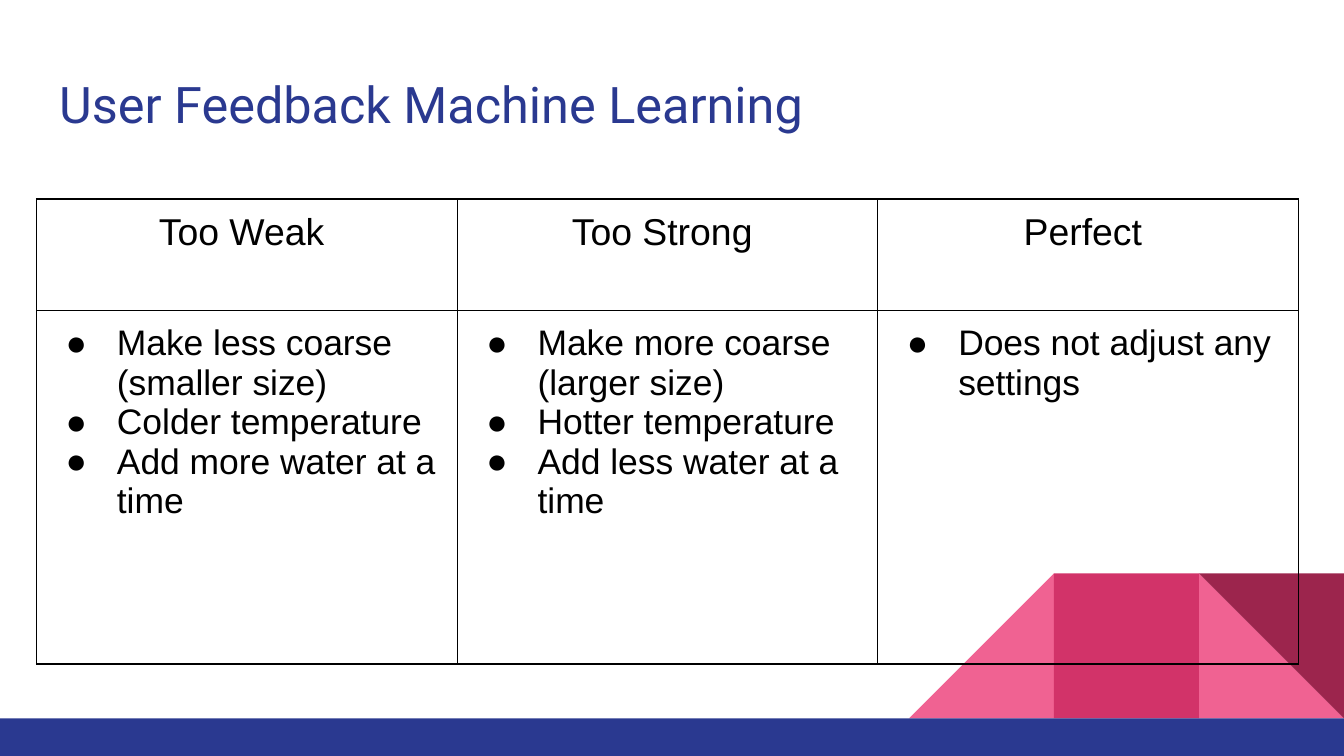
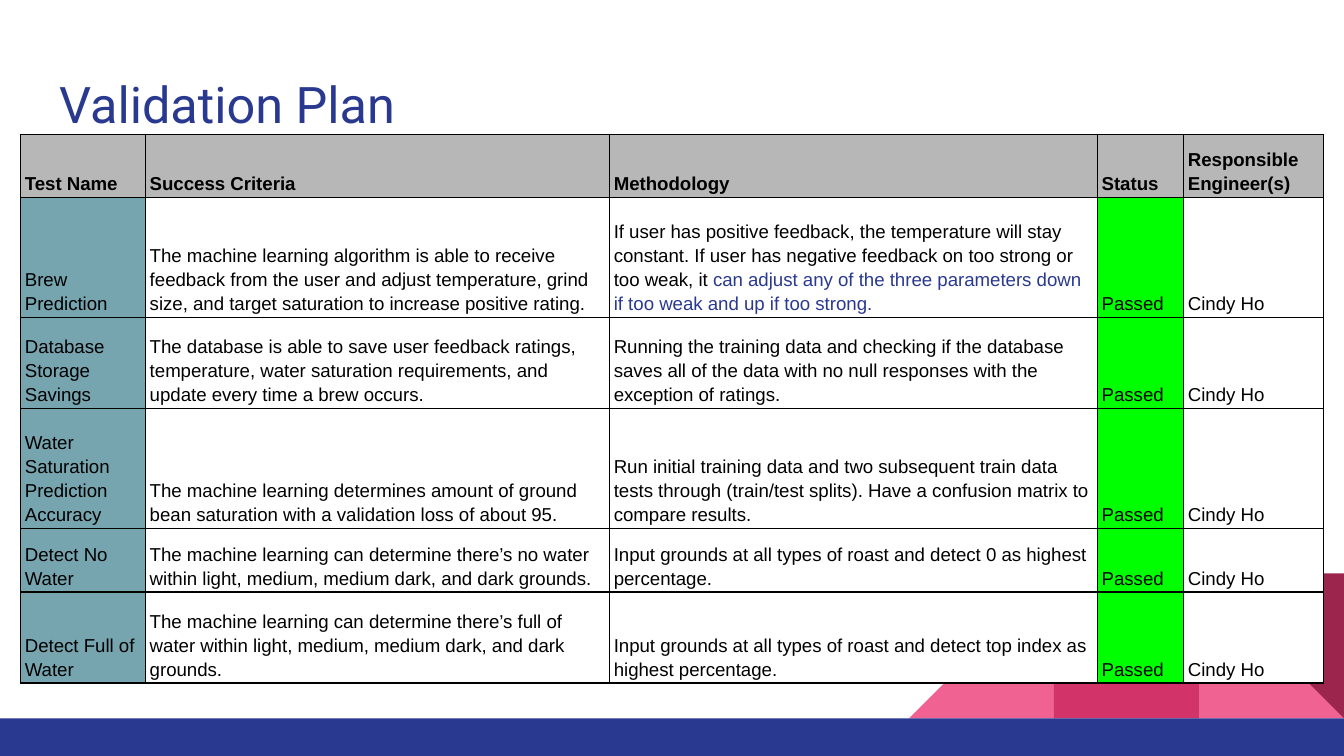
from pptx import Presentation
from pptx.dml.color import RGBColor
from pptx.enum.shapes import MSO_SHAPE as SHAPE
from pptx.enum.text import MSO_ANCHOR as ANCHOR, PP_ALIGN as ALIGN
from pptx.oxml import parse_xml
from pptx.oxml.ns import nsdecls
from pptx.util import Cm, Pt

NAVY, BLACK, WHITE = "2A3990", "000000", "FFFFFF"
PINK, ROSE, WINE = "F06292", "D23369", "9C254D"
GRAY, TEAL, GREEN = "B7B7B7", "76A5AF", "00FF00"
WIDTH, HEIGHT = 25.4, 14.29
BAND_TOP, TILE = 13.58, 2.74


def rgb(value):
    return RGBColor.from_string(value)


class Deck:
    def __init__(self):
        self.prs = Presentation()
        self.prs.slide_width, self.prs.slide_height = Cm(WIDTH), Cm(HEIGHT)
        self.s = None

    def slide(self, title):
        self.s = self.prs.slides.add_slide(self.prs.slide_layouts[6])
        tile_top = BAND_TOP - TILE
        tiles = [
            (1, SHAPE.RIGHT_TRIANGLE, PINK, {}),
            (3, SHAPE.RIGHT_TRIANGLE, PINK, {"flip": True}),
            (2, SHAPE.RECTANGLE, ROSE, {}),
            (1, SHAPE.RIGHT_TRIANGLE, WINE, {"rotation": 180}),
        ]
        for steps, kind, color, turn in tiles:
            self.shape(kind, WIDTH - steps * TILE, tile_top, TILE, TILE, color, **turn)
        self.shape(SHAPE.RECTANGLE, 0, BAND_TOP, WIDTH, HEIGHT - BAND_TOP, NAVY)
        self.title(title)

    def shape(self, kind, x, y, w, h, color, flip=False, rotation=0):
        sp = self.s.shapes.add_shape(kind, Cm(x), Cm(y), Cm(w), Cm(h))
        sp.shadow.inherit = False
        sp.fill.solid()
        sp.fill.fore_color.rgb = rgb(color)
        sp.line.fill.background()
        sp.rotation = rotation
        if flip:
            sp._element.spPr.find("{*}xfrm").set("flipH", "1")

    def title(self, text):
        sp = self.s.shapes.add_textbox(Cm(0.87), Cm(1.14), Cm(23.67), Cm(1.68))
        tf = sp.text_frame
        tf.word_wrap = True
        self.insets(tf, 0.25, 0.25)
        self.run(tf.paragraphs[0], text, 27, NAVY, font="Roboto")

    def insets(self, box, side, end):
        box.margin_left = box.margin_right = Cm(side)
        box.margin_top = box.margin_bottom = Cm(end)

    def run(self, p, text, size, color=BLACK, bold=False, font="Arial"):
        r = p.add_run()
        r.text = text
        r.font.name, r.font.size, r.font.bold = font, Pt(size), bold
        r.font.color.rgb = rgb(color)

    def bullet(self, p):
        pPr = p._p.get_or_add_pPr()
        pPr.set("marL", str(Cm(1.27)))
        pPr.set("indent", str(Cm(-0.97)))
        for xml in (
            f'<a:buClr {nsdecls("a")}><a:srgbClr val="{BLACK}"/></a:buClr>',
            f'<a:buFont {nsdecls("a")} typeface="Arial"/>',
            f'<a:buChar {nsdecls("a")} char="●"/>',
        ):
            pPr.append(parse_xml(xml))

    def borders(self, cell):
        tcPr = cell._tc.get_or_add_tcPr()
        for side in "LRTB":
            tcPr.append(parse_xml(
                f'<a:ln{side} {nsdecls("a")} w="{Pt(0.75)}"><a:solidFill>'
                f'<a:srgbClr val="{BLACK}"/></a:solidFill></a:ln{side}>'))

    def table(self, x, y, cols, rows, side, end):
        frame = self.s.shapes.add_table(
            len(rows), len(cols), Cm(x), Cm(y), Cm(sum(cols)), Cm(sum(rows)))
        table = frame.table
        table.first_row = table.horz_banding = False
        for column, width in zip(table.columns, cols):
            column.width = Cm(width)
        for row, height in zip(table.rows, rows):
            row.height = Cm(height)
        for cell in table.iter_cells():
            self.insets(cell, side, end)
            self.borders(cell)
            cell.fill.background()
        return table

    def feedback_table(self, columns):
        table = self.table(0.69, 3.76, [7.95] * len(columns), [2.11, 2.03, 4.65], 0.25, 0.25)
        for i, (heading, actions) in enumerate(columns):
            p = table.cell(0, i).text_frame.paragraphs[0]
            p.alignment = ALIGN.CENTER
            self.run(p, heading, 20)
            body = table.cell(1, i)
            body.merge(table.cell(2, i))
            tf = body.text_frame
            for j, action in enumerate(actions):
                p = tf.add_paragraph() if j else tf.paragraphs[0]
                self.bullet(p)
                self.run(p, action, 19)

    def plan_table(self, headings, tests):
        cols = [2.36, 8.77, 9.22, 1.63, 2.64]
        rows = [1.19, 2.27, 1.72, 2.27, 1.2, 1.72]
        fills = [TEAL, WHITE, WHITE, GREEN, WHITE]
        table = self.table(0.39, 2.54, cols, rows, 0.08, 0.05)
        grid = [headings] + [(*test, "Passed", "Cindy Ho") for test in tests]
        for i, texts in enumerate(grid):
            for j, text in enumerate(texts):
                cell = table.cell(i, j)
                cell.vertical_anchor = ANCHOR.BOTTOM
                cell.fill.solid()
                cell.fill.fore_color.rgb = rgb(fills[j] if i else GRAY)
                p = cell.text_frame.paragraphs[0]
                p.line_spacing = 1.15
                parts = [text] if isinstance(text, str) else text
                for part, color in zip(parts, (BLACK, NAVY)):
                    self.run(p, part, 10, color, bold=i == 0)


FEEDBACK = [
    ("Too Weak ", ["Make less coarse (smaller size)", "Colder temperature",
                   "Add more water at a time"]),
    ("Too Strong ", ["Make more coarse (larger size)", "Hotter temperature",
                     "Add less water at a time"]),
    ("Perfect ", ["Does not adjust any settings"]),
]

HEADINGS = ("Test Name", "Success Criteria", "Methodology", "Status", "Responsible Engineer(s)")

TESTS = [
    ("Brew Prediction",
     "The machine learning algorithm is able to receive feedback from the user and adjust "
     "temperature, grind size, and target saturation to increase positive rating.",
     ("If user has positive feedback, the temperature will stay constant. If user has "
      "negative feedback on too strong or too weak, it ",
      "can adjust any of the three parameters down if too weak and up if too strong.")),
    ("Database Storage Savings",
     "The database is able to save user feedback ratings, temperature, water saturation "
     "requirements, and update every time a brew occurs.",
     "Running the training data and checking if the database saves all of the data with "
     "no null responses with the exception of ratings."),
    ("Water Saturation Prediction Accuracy",
     "The machine learning determines amount of ground bean saturation with a validation "
     "loss of about 95.",
     "Run initial training data and two subsequent train data tests through (train/test "
     "splits). Have a confusion matrix to compare results."),
    ("Detect No Water",
     "The machine learning can determine there’s no water within light, medium, medium "
     "dark, and dark grounds.",
     "Input grounds at all types of roast and detect 0 as highest percentage."),
    ("Detect Full of Water",
     "The machine learning can determine there’s full of water within light, medium, "
     "medium dark, and dark grounds.",
     "Input grounds at all types of roast and detect top index as highest percentage."),
]


def main():
    deck = Deck()
    deck.slide("User Feedback Machine Learning")
    deck.feedback_table(FEEDBACK)
    deck.slide("Validation Plan")
    deck.plan_table(HEADINGS, TESTS)
    deck.prs.save("out.pptx")


if __name__ == "__main__":
    main()
